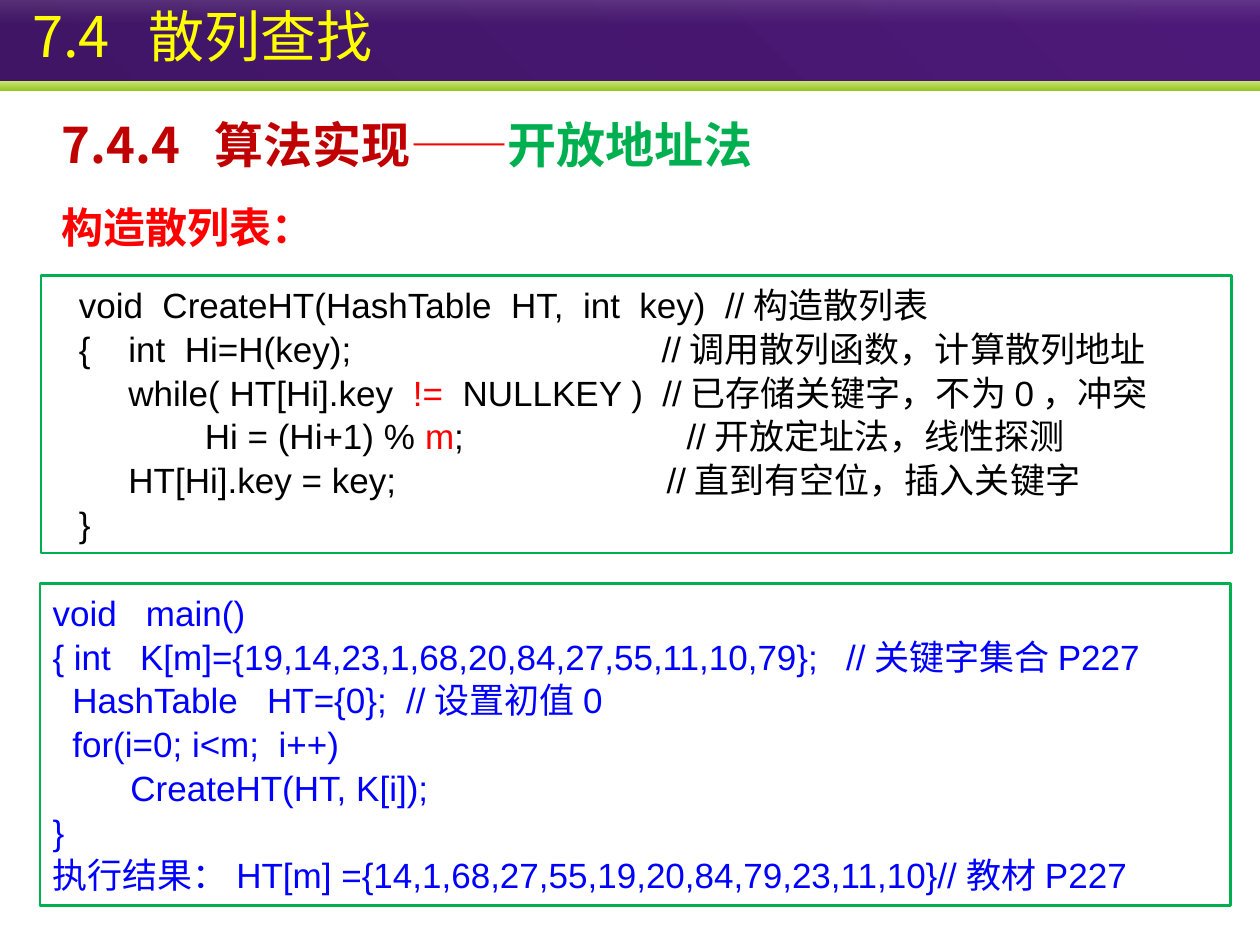
from lxml import etree
from pptx import Presentation
from pptx.dml.color import RGBColor
from pptx.enum.shapes import MSO_SHAPE
from pptx.enum.text import MSO_ANCHOR, MSO_AUTO_SIZE, PP_ALIGN
from pptx.oxml.ns import qn
from pptx.util import Cm, Pt

RECT = MSO_SHAPE.RECTANGLE
TOP, MIDDLE = MSO_ANCHOR.TOP, MSO_ANCHOR.MIDDLE
LEFT = PP_ALIGN.LEFT
NO_FIT, GROW = MSO_AUTO_SIZE.NONE, MSO_AUTO_SIZE.SHAPE_TO_FIT_TEXT

PLUM = RGBColor(0x40, 0x15, 0x65)
VIOLET = RGBColor(0x4D, 0x19, 0x79)
LIME = RGBColor(0xC9, 0xE5, 0x76)
LEAF = RGBColor(0x97, 0xC5, 0x23)
WHITE = RGBColor(0xFF, 0xFF, 0xFF)
GREY = RGBColor(0xB6, 0xB6, 0xB6)
YELLOW = RGBColor(0xFF, 0xFF, 0x00)
MAROON = RGBColor(0xC0, 0x00, 0x00)
RED = RGBColor(0xFF, 0x00, 0x00)
GREEN = RGBColor(0x00, 0xB0, 0x50)
BLACK = RGBColor(0x00, 0x00, 0x00)
BLUE = RGBColor(0x00, 0x00, 0xFF)

HAN = "Noto Sans CJK SC"
CODE = "Arial"


class Deck:
    def __init__(self):
        self.prs = Presentation()
        self.prs.slide_width, self.prs.slide_height = Cm(25.4), Cm(19.05)
        self.slide = self.prs.slides.add_slide(self.prs.slide_layouts[5])

    def run(self, para, text, size, color, font=HAN, bold=False):
        run = para.add_run()
        run.text = text
        run.font.name, run.font.size = font, Pt(size)
        run.font.bold, run.font.color.rgb = bold, color
        east = etree.SubElement(run.font._element, qn("a:ea"))
        east.set("typeface", HAN)

    def bar(self, top, height, colors, angle, alphas=()):
        """Draw a full-width gradient band; alphas are percent opacity."""
        bar = self.slide.shapes.add_shape(RECT, 0, Cm(top), Cm(25.4), Cm(height))
        bar.shadow.inherit = False
        bar.line.fill.background()
        bar.fill.gradient()
        bar.fill.gradient_angle = angle
        for stop, color in zip(bar.fill.gradient_stops, colors):
            stop.color.rgb = color
        marks = bar._element.spPr.findall(".//" + qn("a:srgbClr"))
        for mark, alpha in zip(marks, alphas):
            etree.SubElement(mark, qn("a:alpha")).set("val", str(alpha * 1000))

    def title(self, text, left, top, width, height):
        title = self.slide.shapes.title
        title.left, title.top = Cm(left), Cm(top)
        title.width, title.height = Cm(width), Cm(height)
        frame = title.text_frame
        frame.auto_size, frame.vertical_anchor = NO_FIT, MIDDLE
        frame.margin_left = Cm(0.5)
        para = frame.paragraphs[0]
        para.alignment = LEFT
        self.run(para, text, 32, YELLOW)
        # bring the title in front of the bars
        title._element.getparent().append(title._element)

    def label(self, runs, left, top, width, height, size, wrap=True):
        box = self.slide.shapes.add_textbox(Cm(left), Cm(top), Cm(width), Cm(height))
        frame = box.text_frame
        frame.word_wrap, frame.auto_size = wrap, GROW
        for text, color, bold in runs:
            self.run(frame.paragraphs[0], text, size, color, bold=bold)

    def code(self, lines, left, top, width, height, color, inset):
        """Draw a framed listing; each line is (tab stops, *texts), odd texts red."""
        box = self.slide.shapes.add_shape(RECT, Cm(left), Cm(top), Cm(width), Cm(height))
        box.shadow.inherit = False
        box.fill.background()
        box.line.color.rgb, box.line.width = GREEN, Pt(1.5)
        frame = box.text_frame
        frame.word_wrap, frame.auto_size = True, GROW
        frame.vertical_anchor, frame.margin_left = TOP, Cm(inset)
        for i, (stops, *texts) in enumerate(lines):
            para = frame.add_paragraph() if i else frame.paragraphs[0]
            para.alignment, para.line_spacing = LEFT, Pt(25)
            if stops:
                tabs = etree.SubElement(para._p.get_or_add_pPr(), qn("a:tabLst"))
                for stop in stops:
                    tab = etree.SubElement(tabs, qn("a:tab"))
                    tab.set("pos", str(Cm(stop)))
                    tab.set("algn", "l")
            for j, text in enumerate(texts):
                self.run(para, text, 20, RED if j % 2 else color, CODE)


BUILD = [
    ((), "void  CreateHT(HashTable  HT,  int  key)  //构造散列表"),
    ((1, 11.75), "{\tint  Hi=H(key);\t//调用散列函数，计算散列地址"),
    ((1,), "\twhile( HT[Hi].key  ", "!=", "  NULLKEY )  //已存储关键字，不为0，冲突"),
    ((2.54, 12.25), "\tHi = (Hi+1) % ", "m", ";\t//开放定址法，线性探测"),
    ((1, 11.85), "\tHT[Hi].key = key;\t//直到有空位，插入关键字"),
    ((), "}"),
]
MAIN = [
    ((), "void   main()"),
    ((16,), "{ int   K[m]={19,14,23,1,68,20,84,27,55,11,10,79};\t//关键字集合P227"),
    ((0.4,), "\tHashTable   HT={0};  //设置初值0"),
    ((0.4,), "\tfor(i=0; i<m;  i++)"),
    ((1.57,), "\tCreateHT(HT, K[i]);"),
    ((), "}"),
    ((), "执行结果：HT[m] ={14,1,68,27,55,19,20,84,79,23,11,10}//教材P227"),
]


def main():
    deck = Deck()
    deck.bar(0, 1.63, (PLUM, VIOLET), 45)
    deck.bar(1.63, 0.2, (LIME, LEAF), 270)
    deck.bar(0, 0.5, (WHITE, GREY), 270, (13, 0))
    deck.title("7.4  散列查找", 0.15, -0.2, 25.15, 1.8)
    deck.label([("7.4.4  算法实现", MAROON, True), ("——", RED, False),
                ("开放地址法", GREEN, True)], 1, 2.18, 17.07, 1.45, 28)
    deck.code(BUILD, 0.83, 5.56, 24, 5.59, BLACK, 0.76)
    deck.label([("构造散列表：", RED, True)], 1, 3.94, 5.66, 1.27, 24, False)
    deck.code(MAIN, 0.81, 11.76, 24, 6.5, BLUE, 0.25)
    deck.prs.save("out.pptx")


if __name__ == "__main__":
    main()
